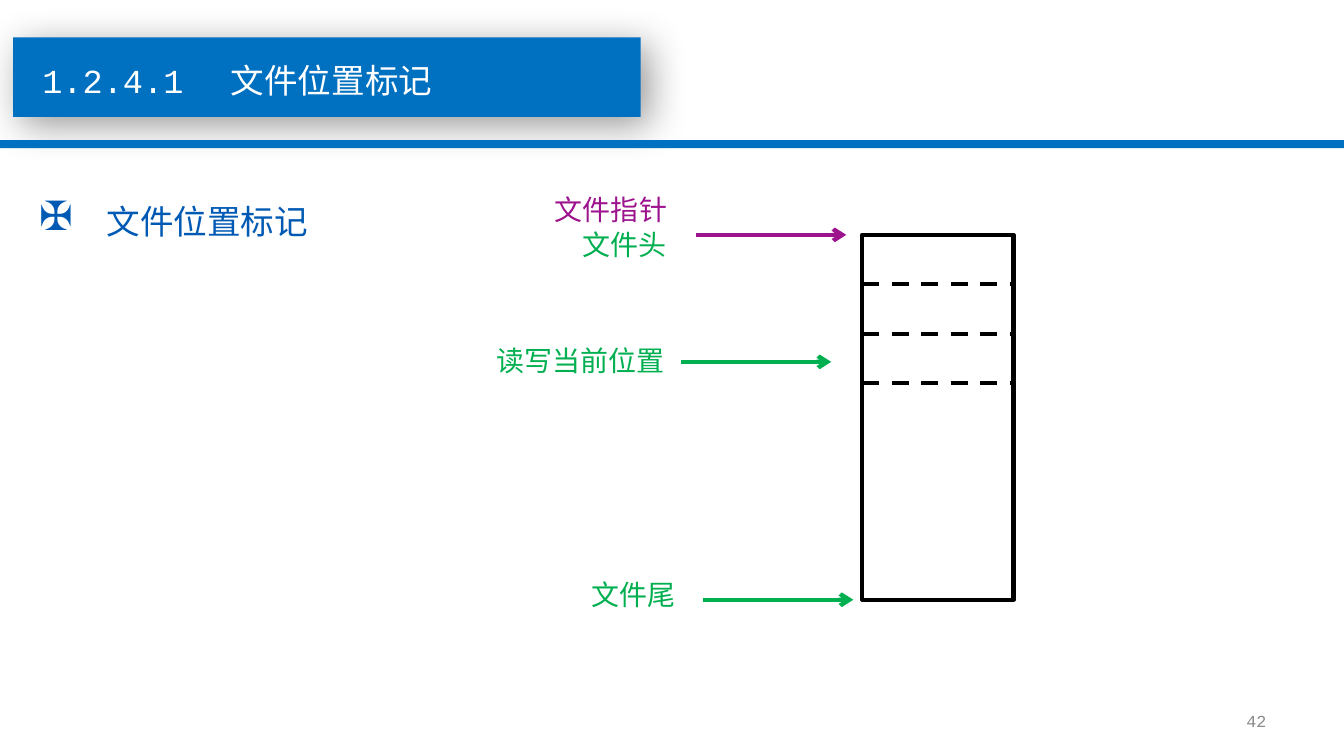
from lxml.etree import SubElement
from pptx import Presentation
from pptx.dml.color import RGBColor
from pptx.enum.dml import MSO_LINE
from pptx.enum.shapes import MSO_CONNECTOR, MSO_SHAPE
from pptx.enum.text import MSO_ANCHOR, PP_ALIGN
from pptx.oxml.ns import qn
from pptx.util import Inches, Pt

COLORS = {"blue": "0070C0", "bullet": "005AB4", "white": "FFFFFF", "black": "000000",
          "purple": "9D138D", "green": "00B050", "gray": "898989"}
MONO = "Courier New"


def rgb(name):
    return RGBColor.from_string(COLORS[name])


def add_xml(parent, tag, **attributes):
    return SubElement(parent, qn(tag), {key: str(value) for key, value in attributes.items()})


def write_text(shape, text, size, color, font="Arial", align=PP_ALIGN.LEFT,
               anchor=MSO_ANCHOR.TOP, inset=None, bullet=None, tab=None, spacing=None):
    frame = shape.text_frame
    frame.word_wrap = True
    frame.vertical_anchor = anchor
    if inset is not None:
        frame.margin_left = frame.margin_right = Inches(inset)
        frame.margin_top = frame.margin_bottom = Inches(inset)
    paragraph = frame.paragraphs[0]
    paragraph.text = text
    paragraph.alignment = align
    if spacing:
        paragraph.line_spacing = spacing
    properties = paragraph._p.get_or_add_pPr()
    if bullet:
        indent = Inches(0.67)
        properties.set("marL", str(indent))
        properties.set("indent", str(-indent))
        add_xml(add_xml(properties, "a:buClr"), "a:srgbClr", val=COLORS[color])
        add_xml(properties, "a:buSzPct", val=120000)
        add_xml(properties, "a:buChar", char=bullet)
    if tab:
        add_xml(add_xml(properties, "a:tabLst"), "a:tab", pos=Inches(tab), algn="l")
    for run in paragraph.runs:
        run.font.size = Pt(size)
        run.font.name = font
        run.font.color.rgb = rgb(color)


def add_text(slide, box, text, **style):
    write_text(slide.shapes.add_textbox(*map(Inches, box)), text, **style)


def add_box(slide, box, fill=None, line=None):
    shape = slide.shapes.add_shape(MSO_SHAPE.RECTANGLE, *map(Inches, box))
    shape.shadow.inherit = False
    if fill:
        shape.fill.solid()
        shape.fill.fore_color.rgb = rgb(fill)
    else:
        shape.fill.background()
    if line:
        shape.line.color.rgb = rgb(line)
        shape.line.width = Pt(3)
    else:
        shape.line.fill.background()
    return shape


def add_line(slide, left, top, width, color, dashed=False, arrow=False):
    line = slide.shapes.add_connector(MSO_CONNECTOR.STRAIGHT, Inches(left), Inches(top),
                                      Inches(left + width), Inches(top))
    line.line.color.rgb = rgb(color)
    line.line.width = Pt(3)
    if dashed:
        line.line.dash_style = MSO_LINE.DASH
    if arrow:
        add_xml(line.line._get_or_add_ln(), "a:tailEnd", type="arrow")
    add_xml(line.element.spPr, "a:effectLst")


def add_header(slide, left, top, width, height):
    # Banner with a soft shadow, and the rule across the slide
    banner = add_box(slide, (left, top, width, height), fill="blue")
    effects = banner.element.spPr.find(qn("a:effectLst"))
    shadow = add_xml(effects, "a:outerShdw", blurRad=Pt(28), dist=Pt(8),
                     dir=45 * 60000, algn="tl", rotWithShape=0)
    add_xml(add_xml(shadow, "a:srgbClr", val=COLORS["black"]), "a:alpha", val=40000)
    add_box(slide, (0, top + 1.02, 13.34, 0.08), fill="blue")

    # Title, brought in front of the banner
    title = slide.shapes.title
    title.left, title.top = Inches(left + 0.29), Inches(top + 0.22)
    title.width, title.height = Inches(width - 0.45), Inches(0.4)
    write_text(title, "1.2.4.1\t文件位置标记", size=24, color="white", font=MONO,
               inset=0, tab=1.87)
    slide.shapes._spTree.append(title.element)


def add_file_diagram(slide, left, top, width, height):
    # File column divided into records
    add_box(slide, (left, top, width, height), line="black")
    for record in range(1, 4):
        add_line(slide, left, top + 0.49 * record, width, "black", dashed=True)

    # Position labels: text, colour, then offsets from the column's top left corner
    labels = [("文件指针", "purple", -3.55, -0.47, 2.11),
              ("文件头", "green", -3.07, -0.12, 1.41),
              ("读写当前位置", "green", -4.09, 1.03, 2.59),
              ("文件尾", "green", -2.98, 3.35, 1.41)]
    for text, color, dx, dy, label_width in labels:
        add_text(slide, (left + dx, top + dy, label_width, 0.43), text,
                 size=20, color=color, align=PP_ALIGN.CENTER)

    # Arrows towards the column
    for color, dx, dy in [("purple", -1.65, 0), ("green", -1.8, 1.26),
                          ("green", -1.58, height)]:
        add_line(slide, left + dx, top + dy, 1.49, color, arrow=True)


def main():
    presentation = Presentation()
    presentation.slide_width = Inches(13.34)
    presentation.slide_height = Inches(7.5)
    slide = presentation.slides.add_slide(presentation.slide_layouts[5])

    add_header(slide, 0.13, 0.37, 6.23, 0.79)
    add_text(slide, (0.29, 1.78, 12.55, 0.66), "文件位置标记", size=24, color="bullet",
             font=MONO, bullet="✠", spacing=1.4)
    add_file_diagram(slide, 8.56, 2.33, 1.5, 3.62)
    add_text(slide, (9.56, 6.95, 3.11, 0.4), "42", size=12, color="gray", font=MONO,
             align=PP_ALIGN.RIGHT, anchor=MSO_ANCHOR.MIDDLE)

    presentation.save("out.pptx")


if __name__ == "__main__":
    main()
